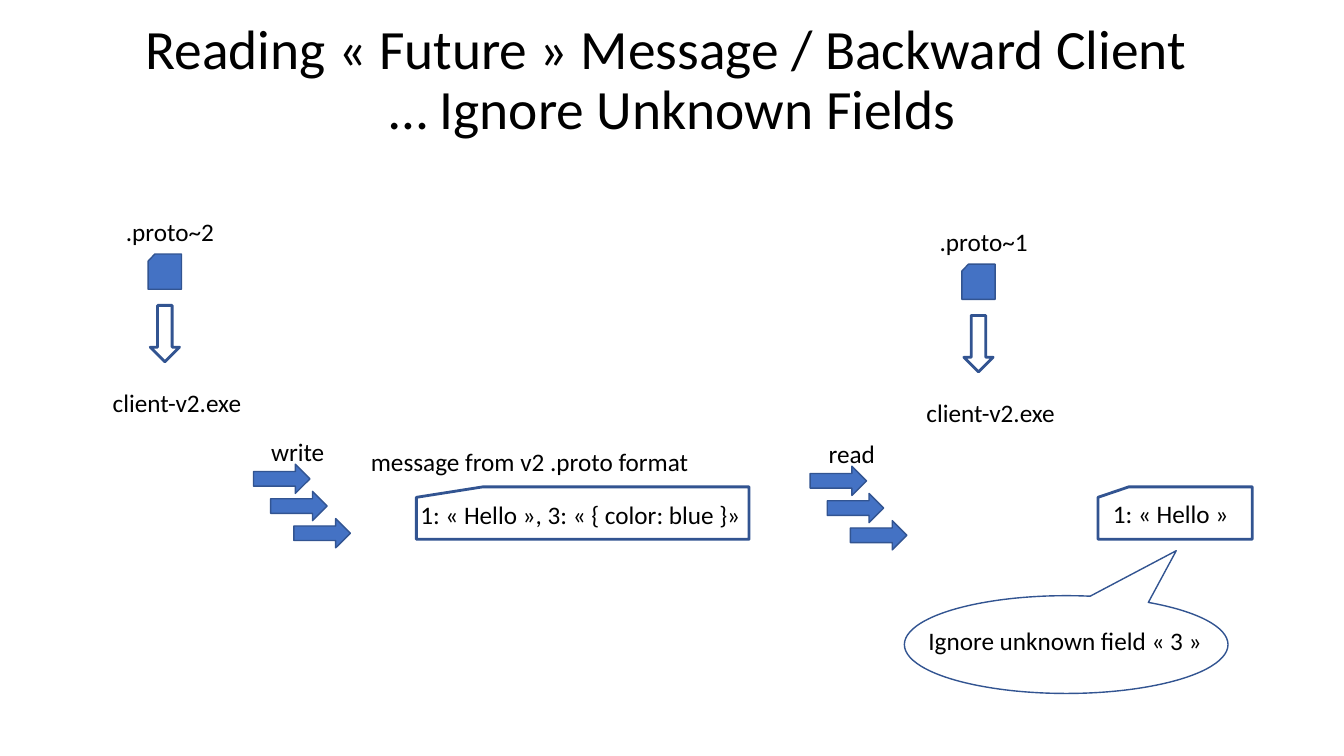
from pptx import Presentation
from pptx.dml.color import RGBColor
from pptx.enum.shapes import MSO_SHAPE
from pptx.enum.text import MSO_ANCHOR, MSO_AUTO_SIZE, PP_ALIGN
from pptx.util import Emu, Pt

CARD = MSO_SHAPE.FLOWCHART_CARD
DOWN_ARROW = MSO_SHAPE.DOWN_ARROW
CALLOUT = MSO_SHAPE.OVAL_CALLOUT
MIDDLE = MSO_ANCHOR.MIDDLE
TOP = MSO_ANCHOR.TOP
GROW = MSO_AUTO_SIZE.SHAPE_TO_FIT_TEXT
FIXED = MSO_AUTO_SIZE.NONE
CENTER = PP_ALIGN.CENTER
LEFT = PP_ALIGN.LEFT

EMU_PER_PX = 9144
BLUE = "4472C4"
OUTLINE = "325491"
BLACK = "000000"


def color(value):
    return RGBColor.from_string(value)


def px(*lengths):
    return [Emu(length * EMU_PER_PX) for length in lengths]


def apply(target, values):
    for name, value in values.items():
        setattr(target, name, value)


class Diagram:
    font = "Calibri"
    text_size = 18

    def __init__(self, slide):
        self.slide = slide

    def text(self, content, left, top, width, height=40, wrap=False):
        shape = self.slide.shapes.add_textbox(*px(left, top, width, height))
        frame = shape.text_frame
        apply(frame, {"word_wrap": wrap, "auto_size": GROW, "vertical_anchor": TOP})
        paragraph = frame.paragraphs[0]
        paragraph.text = content
        paragraph.alignment = LEFT
        apply(paragraph.font, {"name": self.font, "size": Pt(self.text_size)})
        paragraph.font.color.rgb = color(BLACK)
        return shape

    def title(self, content, left, top, width, height):
        frame = self.text(content, left, top, width, height, wrap=True).text_frame
        apply(frame, {"auto_size": FIXED, "vertical_anchor": MIDDLE})
        paragraph = frame.paragraphs[0]
        apply(paragraph, {"alignment": CENTER, "line_spacing": 0.9})
        paragraph.font.size = Pt(39.6)

    def shape(self, kind, left, top, width, height, fill=None, line=1, rotation=0):
        shape = self.slide.shapes.add_shape(kind, *px(left, top, width, height))
        shape.shadow.inherit = False
        shape.rotation = rotation
        if fill:
            shape.fill.solid()
            shape.fill.fore_color.rgb = color(fill)
        else:
            shape.fill.background()
        shape.line.color.rgb = color(OUTLINE)
        shape.line.width = Pt(line)
        return shape

    def client(self, proto, left, top):
        self.text(proto, left + 13, top, 108)
        self.shape(CARD, left + 45, top + 42, 33, 35, BLUE)
        self.shape(DOWN_ARROW, left + 47, top + 93, 29, 56, line=2)
        self.text("client-v2.exe", left, top + 169, 150)

    def stream(self, left, top):
        for step, shift in enumerate((0, 17, 40)):
            self.shape(DOWN_ARROW, left + shift, top + 27 * step, 29, 56, BLUE, rotation=270)

    def callout(self, left, top, width, height, tip):
        shape = self.shape(CALLOUT, left, top, width, height)
        for index, value in enumerate(tip):
            shape.adjustments[index] = value


def main():
    presentation = Presentation()
    presentation.slide_width, presentation.slide_height = px(1333, 750)
    slide = presentation.slides.add_slide(presentation.slide_layouts[6])
    diagram = Diagram(slide)

    diagram.title(
        "Reading « Future » Message / Backward Client \v… Ignore Unknown Fields",
        92, 8, 1150, 145,
    )

    diagram.client(".proto~2", 102, 210)
    diagram.text("write", 259, 428, 74)
    diagram.stream(265, 447)

    diagram.text("message from v2 .proto format", 358, 438, 338)
    diagram.shape(CARD, 413, 483, 330, 52, line=2)
    diagram.text("1: « Hello », 3: « { color: blue }»", 407, 490, 346, wrap=True)

    diagram.client(".proto~1", 909, 220)
    diagram.text("read", 812, 430, 67)
    diagram.stream(817, 449)

    diagram.shape(CARD, 1089, 483, 153, 52, line=2)
    diagram.text("1: « Hello »", 1094, 489, 136)
    diagram.callout(897, 591, 321, 97, (0.34, -0.96))
    diagram.text("Ignore unknown field « 3 »", 911, 615, 295)

    presentation.save("out.pptx")


if __name__ == "__main__":
    main()
